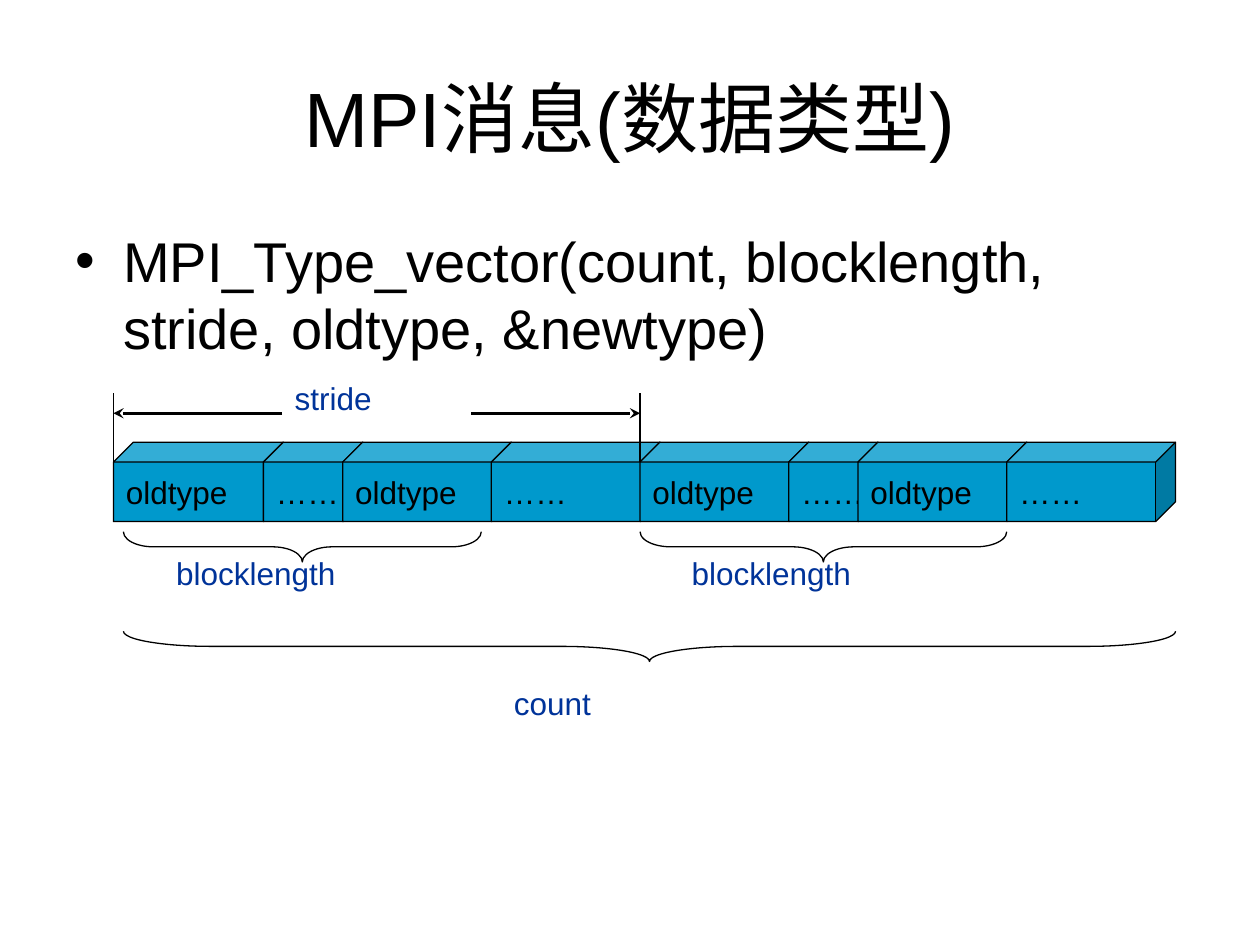
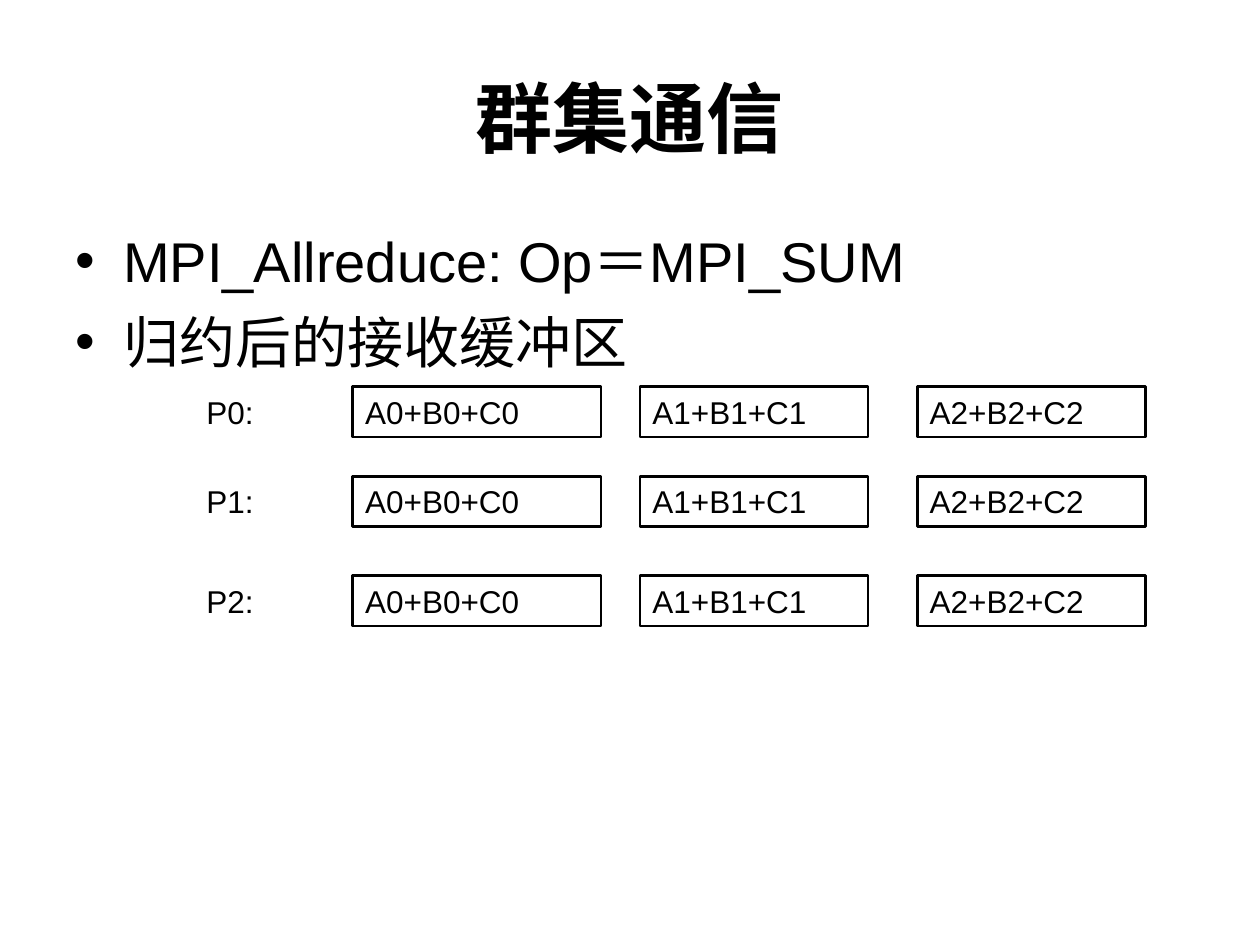
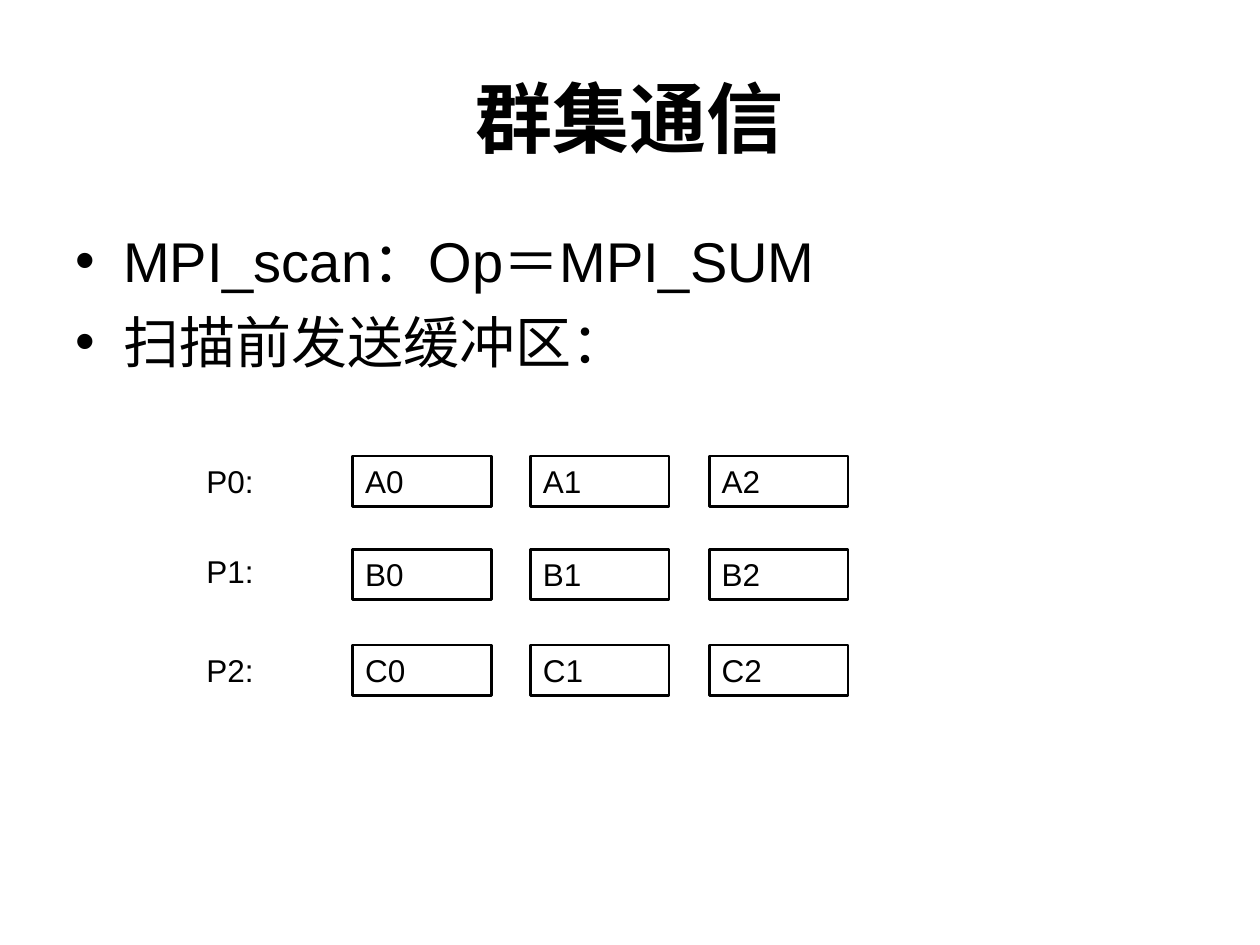
from lxml import etree
from pptx import Presentation
from pptx import util as u
from pptx.dml.color import RGBColor
from pptx.enum import shapes, text
from pptx.oxml.ns import qn

BLACK, BLUE, TEAL = "000000", "003399", "0099CC"
FONT = "Arial"
LABEL_HEIGHT = 0.4


def colour(hex_code):
    return RGBColor.from_string(hex_code)


class SlideBuilder:
    """Holds the shared style and the slide being filled."""

    def __init__(self, deck):
        self.deck = deck
        self.page = None

    def new_page(self, title, bullets, bold=True):
        self.page = self.deck.slides.add_slide(self.deck.slide_layouts[6])
        self.title(title, bold)
        self.bullets(bullets)

    def style(self, para, size=18, ink=BLACK, bold=False):
        para.font.name = FONT
        para.font.size = u.Pt(size)
        para.font.bold = bold
        para.font.color.rgb = colour(ink)

    def frame(self, left, top, width, height):
        box = self.page.shapes.add_textbox(*map(u.Inches, (left, top, width, height)))
        box.text_frame.word_wrap = True
        return box.text_frame

    def title(self, words, bold):
        frame = self.frame(0.5, 0.3, 9, 1.25)
        frame.vertical_anchor = text.MSO_ANCHOR.MIDDLE
        para = frame.paragraphs[0]
        para.text = words
        para.alignment = text.PP_ALIGN.CENTER
        self.style(para, 44, bold=bold)

    def bullets(self, lines):
        frame = self.frame(0.5, 1.75, 9, 4.95)
        for index, line in enumerate(lines):
            para = frame.add_paragraph() if index else frame.paragraphs[0]
            para.text = line
            if index:
                para.space_before = u.Pt(8)
            props = para._p.get_or_add_pPr()
            props.set("marL", str(u.Inches(0.38)))
            props.set("indent", str(-u.Inches(0.38)))
            etree.SubElement(props, qn("a:buFont"), typeface=FONT)
            etree.SubElement(props, qn("a:buChar"), char="•")
            self.style(para, 32)

    def label(self, words, left, top, width, ink=BLACK):
        frame = self.frame(left, top, width, LABEL_HEIGHT)
        frame.auto_size = text.MSO_AUTO_SIZE.SHAPE_TO_FIT_TEXT
        frame.text = words
        self.style(frame.paragraphs[0], ink=ink)

    def shape(self, kind, left, top, width, height, fill=None, weight=0.75):
        shape = self.page.shapes.add_shape(
            kind, *map(u.Inches, (left, top, width, height)))
        shape.shadow.inherit = False
        if fill:
            shape.fill.solid()
            shape.fill.fore_color.rgb = colour(fill)
        else:
            shape.fill.background()
        shape.line.color.rgb = colour(BLACK)
        shape.line.width = u.Pt(weight)
        return shape

    def caption(self, shape, words, anchor):
        frame = shape.text_frame
        frame.vertical_anchor = anchor
        frame.text = words
        frame.paragraphs[0].alignment = text.PP_ALIGN.LEFT
        self.style(frame.paragraphs[0])
        return frame

    def cell(self, words, left, top, width):
        shape = self.shape(shapes.MSO_SHAPE.RECTANGLE, left, top, width,
                           LABEL_HEIGHT, weight=1.5)
        frame = self.caption(shape, words, text.MSO_ANCHOR.TOP)
        frame.word_wrap = True
        frame.auto_size = text.MSO_AUTO_SIZE.SHAPE_TO_FIT_TEXT

    def cube(self, words, left, top, width, height):
        shape = self.shape(shapes.MSO_SHAPE.CUBE, left, top, width, height, TEAL)
        shape.adjustments[0] = 0.25
        self.caption(shape, words, text.MSO_ANCHOR.MIDDLE).word_wrap = False

    def brace(self, left, right, top):
        """A brace opening upwards: a left brace turned a quarter to the left."""
        depth, span = 0.24, right - left
        shape = self.shape(shapes.MSO_SHAPE.LEFT_BRACE, (left + right - depth) / 2,
                           top + (depth - span) / 2, depth, span)
        shape.rotation = 270
        shape.adjustments[0] = span / depth / 12
        shape.adjustments[1] = 0.5

    def line(self, x1, y1, x2, y2, weight=0.75, arrow=False):
        line = self.page.shapes.add_connector(
            shapes.MSO_CONNECTOR.STRAIGHT, *map(u.Inches, (x1, y1, x2, y2)))
        line.line.color.rgb = colour(BLACK)
        line.line.width = u.Pt(weight)
        if arrow:
            etree.SubElement(line.line._get_or_add_ln(), qn("a:tailEnd"), type="stealth")
        etree.SubElement(line._element.spPr, qn("a:effectLst"))

    def process_grid(self, rows, columns, cell_tops, label_tops):
        """One labelled row of cells per process; columns are (left, width)."""
        for number, (row, top, label_top) in enumerate(zip(rows, cell_tops, label_tops)):
            self.label(f"P{number}:", 1.54, label_top, 1.1)
            for words, (left, width) in zip(row, columns):
                self.cell(words, left, top, width)


def vector_page(builder):
    builder.new_page(
        "MPI消息(数据类型)",
        ["MPI_Type_vector(count, blocklength, stride, oldtype, &newtype)"], bold=False)

    # Row of memory blocks: each cube hides the side face of the one before
    side, left = 0.16, 0.9
    for words, face in (("oldtype", 1.19), ("……", 0.63), ("oldtype", 1.18), ("……", 1.18),
                        ("oldtype", 1.18), ("……", 0.55), ("oldtype", 1.18), ("……", 1.18)):
        builder.cube(words, left, 3.51, face + side, 0.63)
        left += face

    # Braces and their labels
    for start, end, top in ((0.98, 3.82, 4.22), (5.08, 7.99, 4.22), (0.98, 9.33, 5.01)):
        builder.brace(start, end, top)
    for words, start, top, width in (("blocklength", 1.3, 4.35, 2.29),
                                     ("blocklength", 5.39, 4.35, 2.28),
                                     ("count", 3.98, 5.38, 2.28),
                                     ("stride", 2.24, 2.96, 1.58)):
        builder.label(words, start, top, width, BLUE)

    # Stride measure: end marks with arrows pointing out to them
    for mark, inner in ((0.9, 2.24), (5.08, 3.74)):
        builder.line(mark, 3.12, mark, 3.67)
        builder.line(inner, 3.28, mark, 3.28, 1.5, arrow=True)


def allreduce_page(builder):
    builder.new_page("群集通信", ["MPI_Allreduce: Op＝MPI_SUM", "归约后的接收缓冲区"])
    sums = [f"A{i}+B{i}+C{i}" for i in range(3)]
    tops = (3.07, 3.78, 4.57)
    builder.process_grid([sums] * 3, ((2.8, 1.97), (5.08, 1.81), (7.28, 1.81)), tops, tops)


def scan_page(builder):
    builder.new_page("群集通信", ["MPI_scan：Op＝MPI_SUM", "扫描前发送缓冲区："])
    buffers = [[f"{name}{i}" for i in range(3)] for name in "ABC"]
    builder.process_grid(buffers, [(left, 1.1) for left in (2.8, 4.21, 5.63)],
                         (3.62, 4.36, 5.12), (3.62, 4.33, 5.12))


def main():
    deck = Presentation()
    deck.slide_width, deck.slide_height = u.Inches(10), u.Inches(7.5)
    builder = SlideBuilder(deck)
    vector_page(builder)
    allreduce_page(builder)
    scan_page(builder)
    deck.save("out.pptx")


if __name__ == "__main__":
    main()
